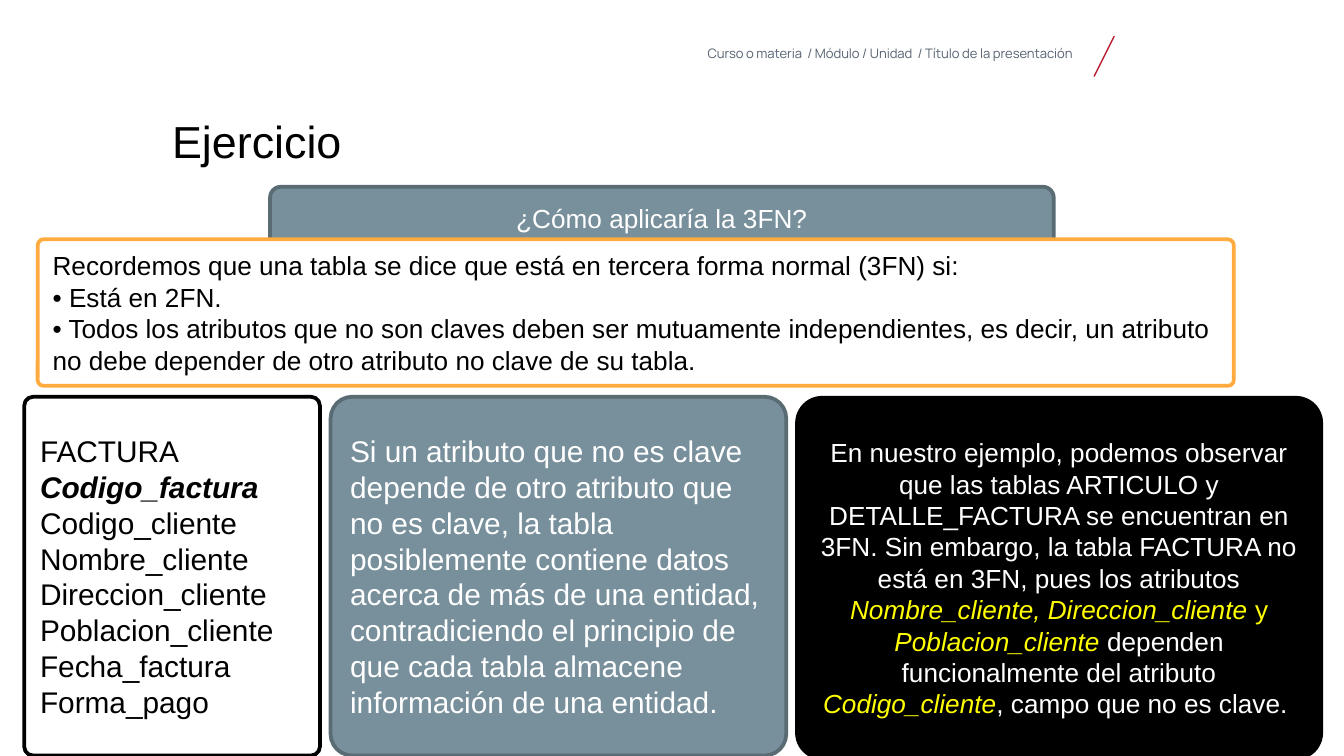
"""Build the slide that explains third normal form with an exercise."""
from lxml import etree
from pptx import Presentation
from pptx import util as u
from pptx.dml.color import RGBColor
from pptx.enum import shapes, text
from pptx.oxml.ns import qn

LEFT, MID, RIGHT = text.PP_ALIGN.LEFT, text.PP_ALIGN.CENTER, text.PP_ALIGN.RIGHT
BLACK, WHITE, SLATE, STEEL = "000000", "FFFFFF", "78909C", "596B73"
GOLD, AMBER, RED, GREY = "FFFF00", "FFAB40", "BC182C", "556271"


def hue(code):
    return RGBColor.from_string(code)


def put(item, vals):
    for name, val in vals.items():
        setattr(item, name, val)


class Deck:
    def __init__(self, wide, high):
        self.prs = Presentation()
        put(self.prs, {"slide_width": u.Pt(wide), "slide_height": u.Pt(high)})
        self.slide = self.prs.slides.add_slide(self.prs.slide_layouts[6])
        self.base = {"name": "Arial", "bold": False, "italic": False}

    def words(self, frame, paras, size, ink, align, lead=1.0):
        for num, runs in enumerate(paras):
            para = frame.paragraphs[0] if num == 0 else frame.add_paragraph()
            put(para, {"alignment": align, "line_spacing": lead})
            for part, look in [(runs, {})] if isinstance(runs, str) else runs:
                run = para.add_run()
                run.text = part
                font = {**self.base, "size": u.Pt(size), **look}
                run.font.color.rgb = hue(font.pop("ink", ink))
                put(run.font, font)

    def label(self, spot, runs, size, ink, align=LEFT):
        frame = self.slide.shapes.add_textbox(*map(u.Pt, spot)).text_frame
        sides = ("left", "top", "right", "bottom")
        put(frame, {"word_wrap": True, **{f"margin_{side}": 0 for side in sides}})
        self.words(frame, [runs], size, ink, align, 0.9)

    def card(self, spot, curve, fill, edge, paras, size, ink, align=LEFT):
        kind = shapes.MSO_SHAPE.ROUNDED_RECTANGLE
        box = self.slide.shapes.add_shape(kind, *map(u.Pt, spot))
        box.adjustments[0] = curve
        box.shadow.inherit = False
        box.fill.solid()
        box.fill.fore_color.rgb = hue(fill)
        box.line.color.rgb = hue(edge)
        box.line.width = u.Pt(2)
        put(box.text_frame, {"word_wrap": True,
                             "vertical_anchor": text.MSO_ANCHOR.MIDDLE})
        self.words(box.text_frame, paras, size, ink, align)

    def slash(self, ends, ink, width):
        kind = shapes.MSO_CONNECTOR.STRAIGHT
        line = self.slide.shapes.add_connector(kind, *map(u.Pt, ends))
        line.line.color.rgb = hue(ink)
        line.line.width = u.Pt(width)
        etree.SubElement(line._element.spPr, qn("a:effectLst"))


def main():
    deck = Deck(720, 405)
    crumb = "Curso o materia  / Módulo / Unidad  / Título de la presentación "
    deck.label((356.4, 25.2, 219.6, 10), [(crumb, {"name": "Manrope"})], 7, GREY, RIGHT)
    deck.slash((596.9, 19.4, 586.1, 41), RED, 0.75)
    deck.label((92.2, 64.1, 382.3, 59.8), "Ejercicio", 24, BLACK)

    top, high = 212.6, 192.2
    fields = [
        "FACTURA",
        [("Codigo_factura", {"bold": True, "italic": True})],
        "Codigo_cliente",
        "Nombre_cliente",
        "Direccion_cliente",
        "Poblacion_cliente",
        "Fecha_factura",
        "Forma_pago",
    ]
    deck.card((13, top, 158.4, high), 0.03, WHITE, BLACK, fields, 16, BLACK)

    deck.card((144.7, 100.1, 419.8, 33.8), 0.17, SLATE, STEEL,
              ["¿Cómo aplicaría la 3FN?"], 14, WHITE, MID)
    rules = [
        "Recordemos que una tabla se dice que está en tercera forma normal (3FN) si:",
        "• Está en 2FN.",
        "• Todos los atributos que no son claves deben ser mutuamente independientes, "
        "es decir, un atributo no debe depender de otro atributo no clave de su tabla.",
    ]
    deck.card((20.2, 128.2, 640.8, 78.5), 0.04, WHITE, AMBER, rules, 14, BLACK)

    reason = (
        "Si un atributo que no es clave depende de otro atributo que no es clave, "
        "la tabla posiblemente contiene datos acerca de más de una entidad, "
        "contradiciendo el principio de que cada tabla almacene información de una entidad."
    )
    deck.card((177.1, top, 244.1, high), 0.06, SLATE, STEEL, [reason], 16, WHITE)

    key = {"ink": GOLD, "italic": True}
    case = [
        ("En nuestro ejemplo, podemos observar que las tablas ARTICULO y "
         "DETALLE_FACTURA se encuentran en 3FN. Sin embargo, la tabla FACTURA "
         "no está en 3FN, pues los atributos ", {}),
        ("Nombre_cliente, Direccion_cliente ", key),
        ("y ", {"ink": GOLD}),
        ("Poblacion_cliente ", key),
        ("dependen funcionalmente del atributo ", {}),
        ("Codigo_cliente", key),
        (", campo que no es clave. ", {}),
    ]
    deck.card((427, 213.1, 280.8, 193), 0.07, BLACK, BLACK, [case], 14, WHITE, MID)
    deck.prs.save("out.pptx")


if __name__ == "__main__":
    main()
